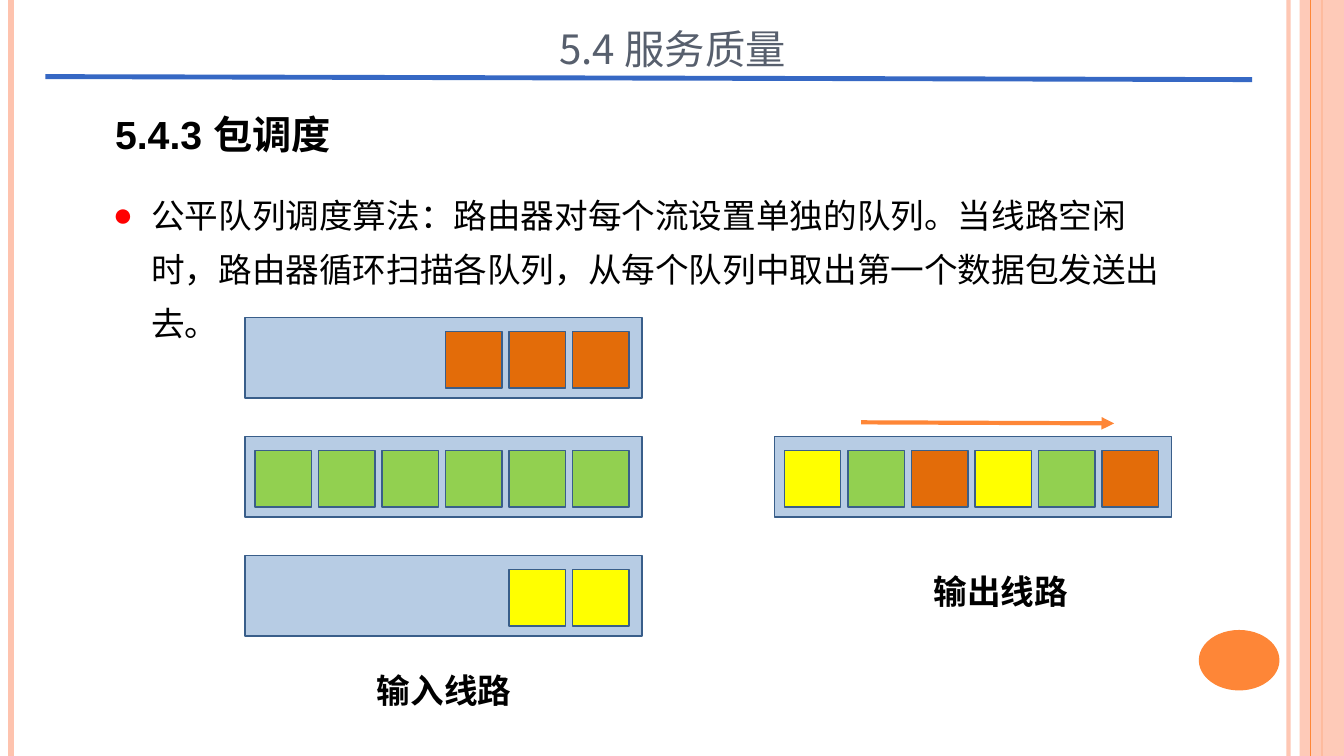
from lxml import etree
from pptx import Presentation
from pptx import util as u
from pptx.dml.color import RGBColor
from pptx.enum import shapes, text
from pptx.oxml.ns import qn

COLOURS = {
    "peach": "FEC3AE", "orange": "FE8637", "rule": "3668C4", "title": "575F6D",
    "black": "000000", "bullet": "FF0000", "queue": "B7CCE4", "outline": "395E8A",
    "brown": "E36C09", "green": "92D050", "yellow": "FFFF00",
}
WIDTH, HEIGHT = 13.33, 7.5
CJK_FONT = "Noto Sans CJK SC"

# Queue grid: six slots per queue, filled from the right-hand end
INPUT_LEFT, OUTPUT_LEFT = 2.43, 7.68
QUEUE_TOP, QUEUE_PITCH = 3.15, 1.18
QUEUE_WIDTH, QUEUE_HEIGHT = 3.94, 0.8
SLOTS, SLOT_PITCH, PACKET = 6, 0.63, 0.56
PACKET_INDENT, PACKET_DROP = 0.1, 0.14


def rgb(name):
    return RGBColor.from_string(COLOURS[name])


def set_alpha(fill_parent, percent):
    colour = next(fill_parent.iter(qn("a:srgbClr")))
    etree.SubElement(colour, qn("a:alpha"), val=str(percent * 1000))


def add_block(slide, box, fill, outline=None, kind=shapes.MSO_SHAPE.RECTANGLE, alpha=None):
    shape = slide.shapes.add_shape(kind, *map(u.Inches, box))
    shape.shadow.inherit = False
    shape.fill.solid()
    shape.fill.fore_color.rgb = rgb(fill)
    if alpha:
        set_alpha(shape._element.spPr, alpha)
    if outline:
        shape.line.color.rgb = rgb(outline)
        shape.line.width = u.Pt(1)
    else:
        shape.line.fill.background()
    return shape


def add_line(slide, start, end, colour, width, alpha=None, arrow=False):
    line = slide.shapes.add_connector(
        shapes.MSO_CONNECTOR.STRAIGHT, *map(u.Inches, (*start, *end)))
    line.line.color.rgb = rgb(colour)
    line.line.width = u.Pt(width)
    properties = line._element.spPr
    if alpha:
        set_alpha(properties, alpha)
    if arrow:
        etree.SubElement(properties.find(qn("a:ln")), qn("a:tailEnd"), type="triangle")
    etree.SubElement(properties, qn("a:effectLst"))


def write(shape, words, size=24, font="Arial", colour="black", bold=False, spacing=1.0,
          before=0, align=text.PP_ALIGN.CENTER, anchor=text.MSO_ANCHOR.TOP, small_caps=False):
    frame = shape.text_frame
    frame.word_wrap = True
    frame.auto_size = text.MSO_AUTO_SIZE.NONE
    frame.vertical_anchor = anchor
    paragraph = frame.paragraphs[0]
    paragraph.alignment = align
    paragraph.line_spacing = spacing
    paragraph.space_before = u.Pt(before)
    run = paragraph.add_run()
    run.text = words
    run.font.size = u.Pt(size)
    run.font.name = font
    run.font.bold = bold
    run.font.color.rgb = rgb(colour)
    properties = run._r.get_or_add_rPr()
    etree.SubElement(properties, qn("a:ea"), typeface=CJK_FONT)
    if small_caps:
        properties.set("cap", "small")
    return paragraph


def add_bullet(paragraph, indent):
    """Give a hanging red bullet and keep punctuation inside the margin."""
    properties = paragraph._p.get_or_add_pPr()
    properties.set("marL", str(u.Inches(indent)))
    properties.set("indent", str(-u.Inches(indent)))
    properties.set("hangingPunct", "0")
    colour = etree.SubElement(properties, qn("a:buClr"))
    etree.SubElement(colour, qn("a:srgbClr"), val=COLOURS["bullet"])
    etree.SubElement(properties, qn("a:buFont"), typeface="Arial")
    etree.SubElement(properties, qn("a:buChar"), char="●")


def place(shape, box):
    shape.left, shape.top, shape.width, shape.height = map(u.Inches, box)
    return shape


def add_text(slide, box, words, **style):
    write(slide.shapes.add_textbox(*map(u.Inches, box)), words, **style)


def add_queue(slide, left, row, packets):
    """Draw one queue; packets lists the colours from left to right."""
    top = QUEUE_TOP + row * QUEUE_PITCH
    add_block(slide, (left, top, QUEUE_WIDTH, QUEUE_HEIGHT), "queue", "outline")
    for slot, colour in enumerate(packets, SLOTS - len(packets)):
        packet_left = left + PACKET_INDENT + slot * SLOT_PITCH
        add_block(slide, (packet_left, top + PACKET_DROP, PACKET, PACKET), colour, "outline")


def add_side_bands(slide):
    for x, colour, width, alpha in ((12.78, "peach", 3, 93), (0.11, "peach", 4.5, None),
                                    (13.11, "orange", 1.5, None)):
        add_line(slide, (x, 0), (x, HEIGHT), colour, width, alpha)
    add_block(slide, (12.89, 0, WIDTH - 12.89, HEIGHT), "peach", alpha=87)
    add_line(slide, (13, 0), (13, HEIGHT), "orange", 0.75)
    add_block(slide, (11.89, 6.25, 0.8, 0.6), "orange", kind=shapes.MSO_SHAPE.OVAL)


def main():
    presentation = Presentation()
    presentation.slide_width = u.Inches(WIDTH)
    presentation.slide_height = u.Inches(HEIGHT)
    slide = presentation.slides.add_slide(presentation.slide_layouts[1])
    title, body = slide.placeholders

    add_side_bands(slide)
    write(place(title, (2.22, -0.03, 8.9, 0.82)), "5.4 服务质量", size=36, font=CJK_FONT,
          colour="title", spacing=1.5, anchor=text.MSO_ANCHOR.BOTTOM, small_caps=True)
    add_line(slide, (0.45, 0.76), (12.42, 0.79), "rule", 3.5)
    add_text(slide, (-2.24, 0.82, 8.9, 0.8), "5.4.3 包调度", size=28, bold=True,
             spacing=0.9, anchor=text.MSO_ANCHOR.BOTTOM)
    algorithm = write(
        place(body, (1.02, 1.74, 10.71, 1.8)),
        "公平队列调度算法：路由器对每个流设置单独的队列。当线路空闲时，"
        "路由器循环扫描各队列，从每个队列中取出第一个数据包发送出去。",
        spacing=1.35, before=7.5, align=text.PP_ALIGN.LEFT)
    add_bullet(algorithm, 0.38)

    for row, (colour, count) in enumerate((("brown", 3), ("green", 6), ("yellow", 2))):
        add_queue(slide, INPUT_LEFT, row, [colour] * count)
    add_queue(slide, OUTPUT_LEFT, 1, ["yellow", "green", "brown"] * 2)
    add_line(slide, (8.54, 4.19), (11.05, 4.2), "orange", 3, arrow=True)

    for words, left, top in (("输入线路", 3.22, 6.52), ("输出线路", 8.74, 5.53)):
        add_text(slide, (left, top, 2.37, 0.59), words, font="Times New Roman",
                 bold=True, spacing=1.2)

    presentation.save("out.pptx")


if __name__ == "__main__":
    main()
